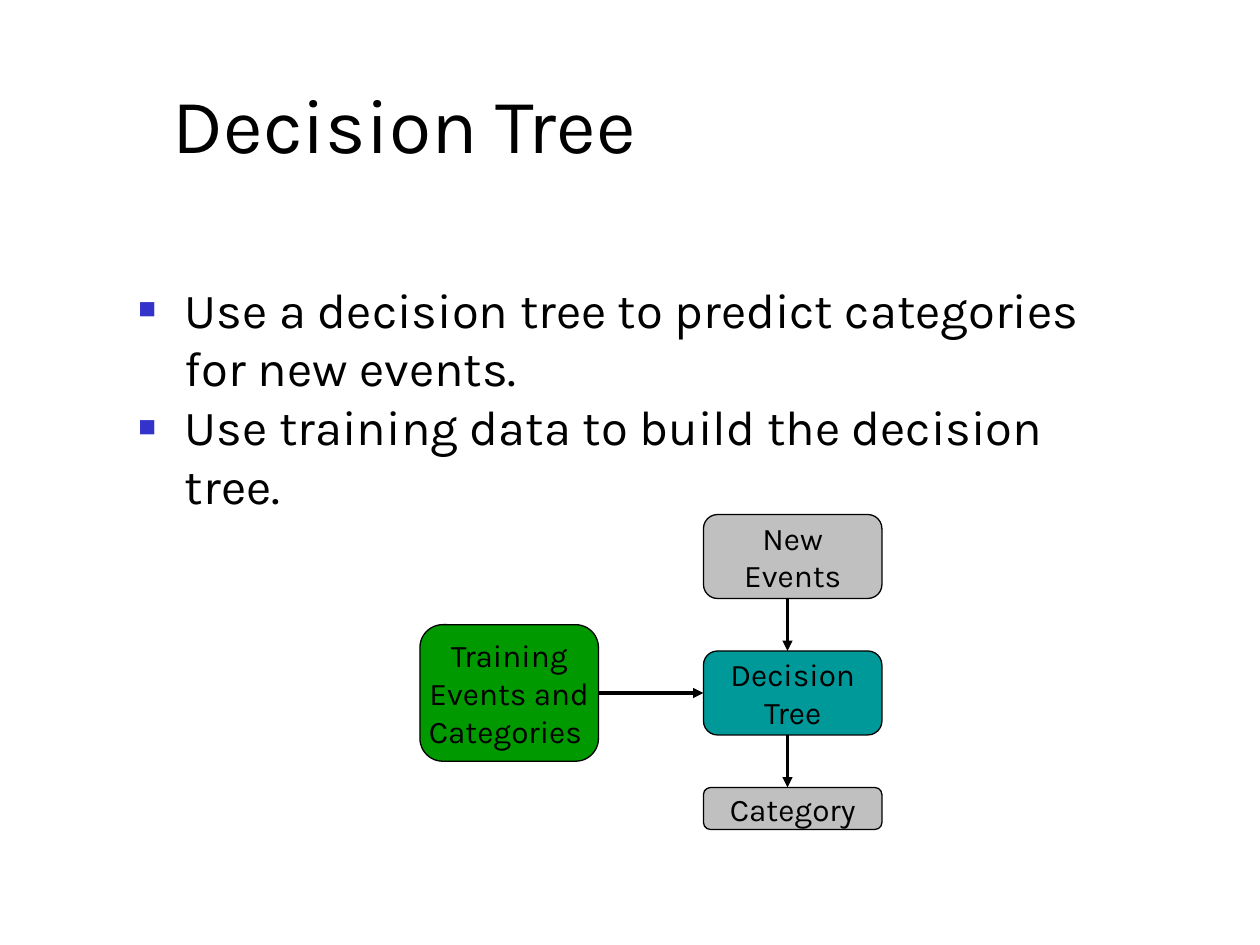
from dataclasses import dataclass
from lxml import etree
from pptx import Presentation
from pptx.dml.color import RGBColor
from pptx.enum.shapes import MSO_CONNECTOR, MSO_SHAPE
from pptx.enum.text import MSO_ANCHOR, MSO_AUTO_SIZE, PP_ALIGN
from pptx.oxml.ns import qn
from pptx.util import Inches, Pt

ROUND = MSO_SHAPE.ROUNDED_RECTANGLE
STRAIGHT = MSO_CONNECTOR.STRAIGHT
LEFT, CENTER = PP_ALIGN.LEFT, PP_ALIGN.CENTER
TOP, MIDDLE, BOTTOM = MSO_ANCHOR.TOP, MSO_ANCHOR.MIDDLE, MSO_ANCHOR.BOTTOM
UNIT = Inches(1) // 12


@dataclass(frozen=True)
class Theme:
    font: str = "Karla"
    ink: str = "000000"
    bullet: str = "3333CC"
    gray: str = "C0C0C0"
    teal: str = "009999"
    green: str = "009900"
    title: int = 44
    body: int = 28
    label: int = 18
    edge: float = 0.75
    arrow: float = 1.75


THEME = Theme()


def color(code):
    return RGBColor.from_string(code)


def grid(*cells):
    return [round(cell * UNIT) for cell in cells]


def place(shape, box):
    shape.left, shape.top, shape.width, shape.height = box


def write(shape, text, size, align, anchor, wrap=True):
    frame = shape.text_frame
    frame.text = text
    frame.word_wrap = wrap
    frame.auto_size = MSO_AUTO_SIZE.NONE
    frame.vertical_anchor = anchor
    for para in frame.paragraphs:
        para.alignment = align
        for run in para.runs:
            run.font.name = THEME.font
            run.font.size = Pt(size)
            run.font.color.rgb = color(THEME.ink)
    return frame


def add_title(slide, box, text):
    title = slide.shapes.title
    place(title, box)
    write(title, text, THEME.title, LEFT, BOTTOM)


def add_bullet(para):
    props = para._p.get_or_add_pPr()
    props.set("marL", str(Inches(0.37)))
    props.set("indent", str(-Inches(0.37)))
    tint = etree.SubElement(props, qn("a:buClr"))
    etree.SubElement(tint, qn("a:srgbClr"), val=THEME.bullet)
    etree.SubElement(props, qn("a:buSzPct"), val="60000")
    etree.SubElement(props, qn("a:buFont"), typeface="Arial")
    etree.SubElement(props, qn("a:buChar"), char="■")


def add_body(slide, box, points):
    body = slide.shapes.add_textbox(*box)
    frame = write(body, "\n".join(points), THEME.body, LEFT, TOP)
    for para in frame.paragraphs:
        add_bullet(para)


def add_node(slide, box, text, fill):
    node = slide.shapes.add_shape(ROUND, *box)
    node.shadow.inherit = False
    node.fill.solid()
    node.fill.fore_color.rgb = color(fill)
    node.line.color.rgb = color(THEME.ink)
    node.line.width = Pt(THEME.edge)
    frame = write(node, text, THEME.label, CENTER, MIDDLE, False)
    frame.margin_left = frame.margin_right = 0
    frame.margin_top = frame.margin_bottom = 0


def add_arrow(slide, ends):
    arrow = slide.shapes.add_connector(STRAIGHT, *ends)
    arrow.line.color.rgb = color(THEME.ink)
    arrow.line.width = Pt(THEME.arrow)
    etree.SubElement(arrow.line._get_or_add_ln(), qn("a:tailEnd"), type="triangle")
    etree.SubElement(arrow._element.spPr, qn("a:effectLst"))


def add_flow(slide, box):
    left, top, width, height = box
    col, row = width / 44, height / 30

    def spot(x, y):
        return [round(left + x * col), round(top + y * row)]

    def area(x, y, wide, high):
        return spot(x, y) + [round(wide * col), round(high * row)]

    wide, right, stem, mid = 17, 27, 35, 17
    steps = [
        ("New\nEvents", 0, 8, THEME.gray),
        ("Decision\nTree", 13, 8, THEME.teal),
        ("Category", 26, 4, THEME.gray),
    ]
    for text, y, high, fill in steps:
        add_node(slide, area(right, y, wide, high), text, fill)
    train = "Training\nEvents and\nCategories "
    add_node(slide, area(0, mid - 6.5, wide, 13), train, THEME.green)
    add_arrow(slide, spot(wide, mid) + spot(right, mid))
    for (_, y, high, _), (_, goal, _, _) in zip(steps, steps[1:]):
        add_arrow(slide, spot(stem, y + high) + spot(stem, goal))


def main():
    deck = Presentation()
    deck.slide_width, deck.slide_height = grid(120, 90)
    slide = deck.slides.add_slide(deck.slide_layouts[5])
    add_title(slide, grid(15.25, 1.7, 102.25, 15), "Decision Tree")
    add_body(slide, grid(12, 26, 96.5, 19.5), [
        "Use a decision tree to predict categories for new events.",
        "Use training data to build the decision tree.",
    ])
    add_flow(slide, grid(40, 49, 44, 30))
    deck.save("out.pptx")


main()
